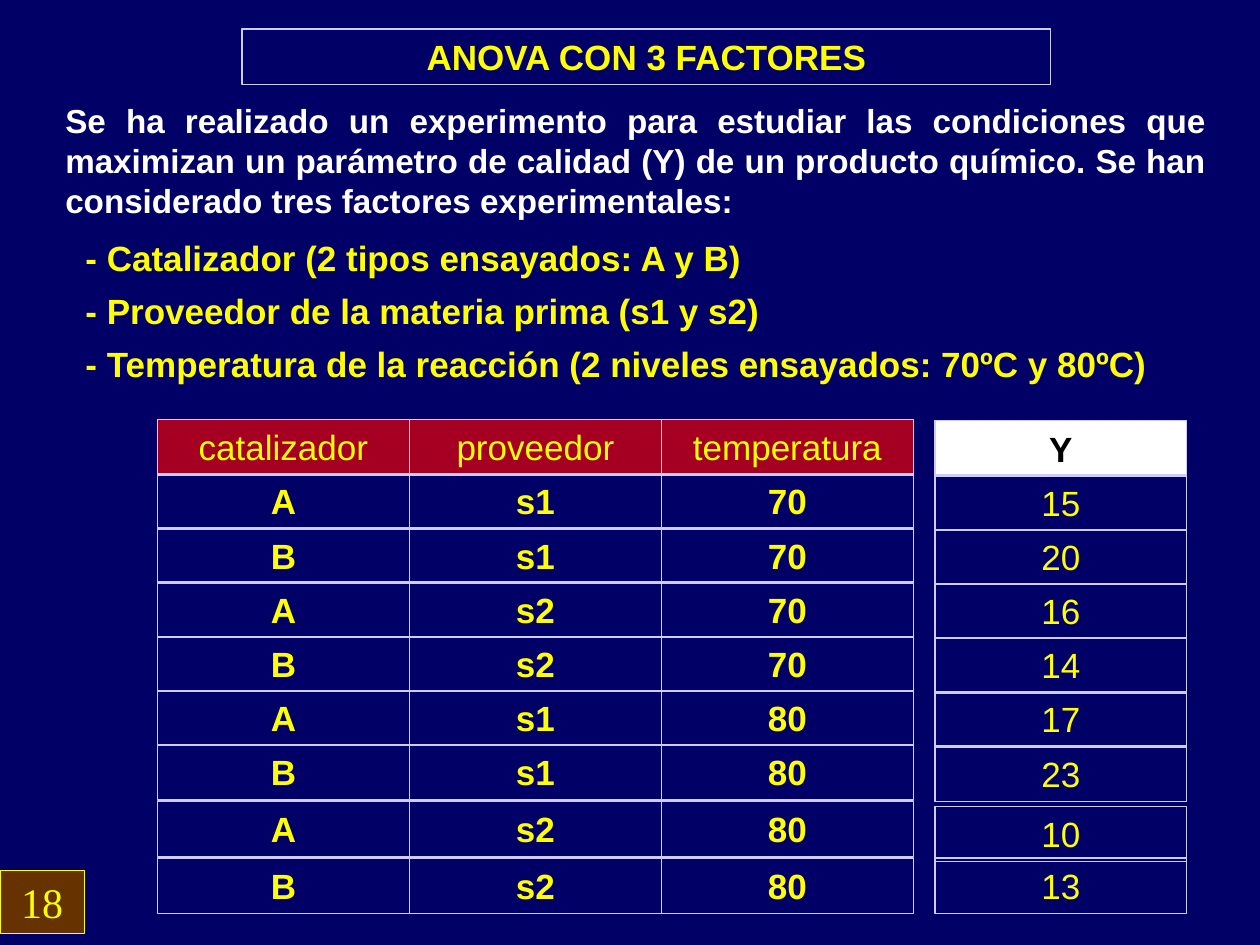
from pptx import Presentation
from pptx.dml.color import RGBColor as RGB
from pptx.enum.shapes import MSO_SHAPE as SHAPE
from pptx.enum.text import MSO_ANCHOR as ANCHOR, PP_ALIGN as ALIGN
from pptx.util import Inches, Pt

NAVY = RGB(0x00, 0x00, 0x66)
YELLOW = RGB(0xFF, 0xFF, 0x00)
WHITE = RGB(0xFF, 0xFF, 0xFF)
BLACK = RGB(0x00, 0x00, 0x00)
LILAC = RGB(0xCC, 0xCC, 0xFF)
RED = RGB(0xA5, 0x00, 0x21)
BROWN = RGB(0x66, 0x33, 0x00)

TITLE = "ANOVA CON 3 FACTORES"
INTRO = (
    "Se ha realizado un experimento para estudiar las condiciones que "
    "maximizan un parámetro de calidad (Y) de un producto químico. "
    "Se han considerado tres factores experimentales:"
)
FACTORS = [
    "- Catalizador (2 tipos ensayados: A y B)",
    "- Proveedor de la materia prima (s1 y s2)",
    "- Temperatura de la reacción (2 niveles ensayados: 70ºC y 80ºC)",
]
HEADS = ["catalizador", "proveedor", "temperatura"]
TRIALS = [
    ("A", "s1", 70, 15),
    ("B", "s1", 70, 20),
    ("A", "s2", 70, 16),
    ("B", "s2", 70, 14),
    ("A", "s1", 80, 17),
    ("B", "s1", 80, 23),
    ("A", "s2", 80, 10),
    ("B", "s2", 80, 13),
]
PAGE = "18"
COL = 2
ROW = 0.43
HIGH = 0.44


def write(frame, text, size, color, align, bold=True, font="Arial"):
    frame.word_wrap = True
    frame.text = text
    para = frame.paragraphs[0]
    para.alignment = align
    para.space_before = Pt(0)
    run = para.runs[0]
    run.font.name = font
    run.font.size = Pt(size)
    run.font.bold = bold
    run.font.color.rgb = color


def panel(shapes, box, fill, line):
    shape = shapes.add_shape(SHAPE.RECTANGLE, *map(Inches, box))
    shape.shadow.inherit = False
    if fill is None:
        shape.fill.background()
    else:
        shape.fill.solid()
        shape.fill.fore_color.rgb = fill
    shape.line.color.rgb = line
    shape.line.width = Pt(0.75)
    shape.text_frame.vertical_anchor = ANCHOR.TOP
    return shape


def grid(slide, left, tops, rows, head, body):
    group = slide.shapes.add_group_shape()
    for r, (row, top) in enumerate(zip(rows, tops)):
        fill, color, bold = body if r else head
        for c, value in enumerate(row):
            box = (left + COL * c, top, COL, HIGH)
            cell = panel(group.shapes, box, fill, LILAC)
            write(cell.text_frame, str(value), 20, color, ALIGN.CENTER, bold)


def main():
    deck = Presentation()
    deck.slide_width, deck.slide_height = Inches(10), Inches(7.5)
    slide = deck.slides.add_slide(deck.slide_layouts[5])
    slide.background.fill.solid()
    slide.background.fill.fore_color.rgb = NAVY

    title = slide.shapes.title
    title.left, title.top = Inches(1.92), Inches(0.23)
    title.width, title.height = Inches(6.42), Inches(HIGH)
    title.line.color.rgb = LILAC
    title.line.width = Pt(0.75)
    write(title.text_frame, TITLE, 20, YELLOW, ALIGN.CENTER)

    notes = [((0.42, 0.75, 9.25, 1.05), INTRO, 19, WHITE)]
    notes += [((0.58, 1.83 + 0.42 * i, 9.17, HIGH), factor, 20, YELLOW)
              for i, factor in enumerate(FACTORS)]
    for box, text, size, color in notes:
        label = slide.shapes.add_textbox(*map(Inches, box))
        write(label.text_frame, text, size, color, ALIGN.JUSTIFY)

    grid(slide, 1.25, [3.33 + ROW * i for i in range(7)] + [6.36, 6.81],
         [HEADS] + [t[:3] for t in TRIALS],
         (RED, YELLOW, False), (None, YELLOW, True))
    grid(slide, 7.42, [3.34 + ROW * i for i in range(7)] + [6.4, 6.81],
         [["Y"]] + [t[3:] for t in TRIALS],
         (WHITE, BLACK, True), (None, YELLOW, False))

    badge = panel(slide.shapes, (0, 6.91, 0.67, 0.5), BROWN, YELLOW)
    write(badge.text_frame, PAGE, 24, YELLOW, ALIGN.CENTER, False,
          "Times New Roman")

    deck.save("out.pptx")


if __name__ == "__main__":
    main()
